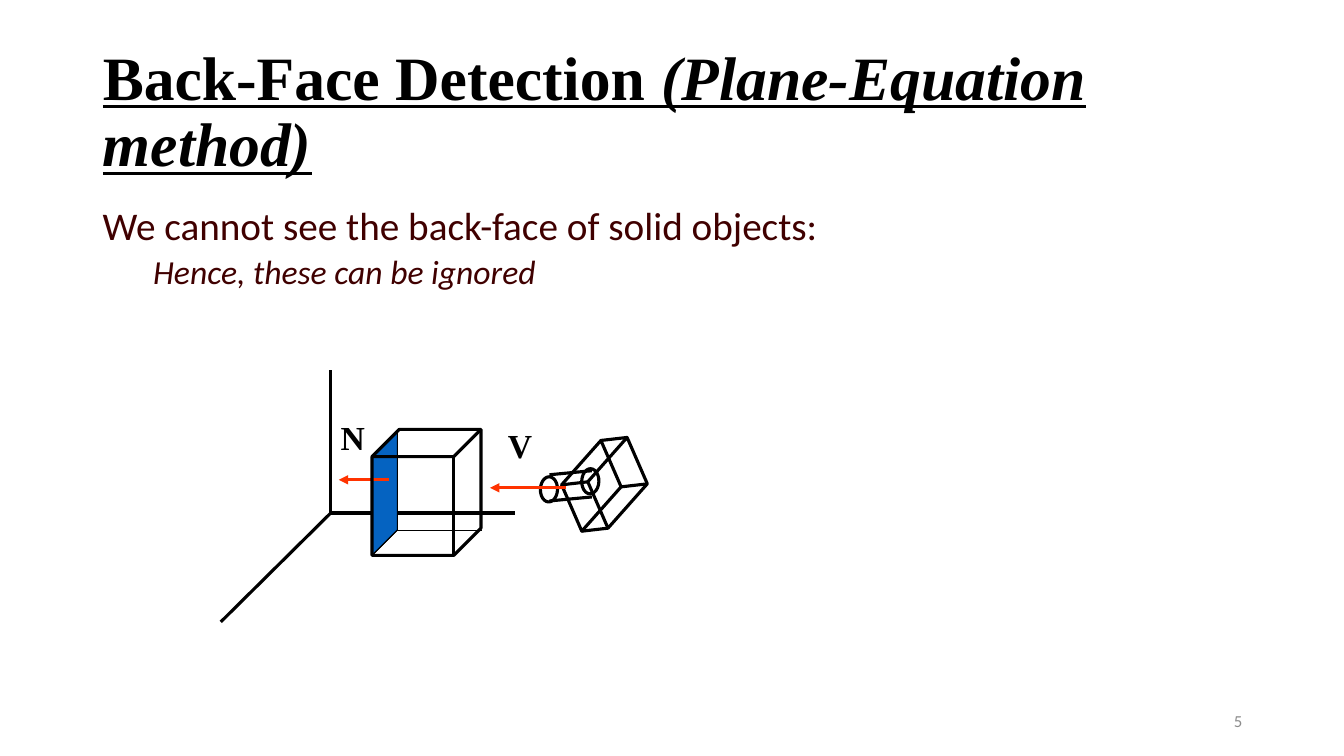
from dataclasses import dataclass

from lxml import etree
from pptx import Presentation
from pptx.dml.color import RGBColor
from pptx.enum import shapes, text
from pptx.oxml import ns
from pptx import util as u

PX = 9144  # EMU in one px, 100 px to the inch

BLACK = RGBColor(0x00, 0x00, 0x00)
BLUE = RGBColor(0x05, 0x63, 0xC1)
RED = RGBColor(0xFF, 0x33, 0x00)
MAROON = RGBColor(0x40, 0x00, 0x00)
GREY = RGBColor(0x8C, 0x8C, 0x8C)
SERIF, SANS = "Times New Roman", "Calibri"
THICK, THIN = 2.25, 0.75

Point = tuple[int, int]


@dataclass(frozen=True)
class Line:
    start: Point
    end: Point
    width: float = THICK
    color: RGBColor = BLACK
    arrow: bool = False


@dataclass(frozen=True)
class Style:
    size: int
    font: str = SERIF
    color: RGBColor = BLACK
    bold: bool = False
    italic: bool = False
    line: bool = False


@dataclass(frozen=True)
class Label:
    word: str
    box: tuple[int, int, int, int]


def scale(*px: int) -> list[u.Emu]:
    return [u.Emu(n * PX) for n in px]


def draw_line(slide, line: Line) -> None:
    shape = slide.shapes.add_connector(
        shapes.MSO_CONNECTOR.STRAIGHT, *scale(*line.start, *line.end))
    shape.line.color.rgb = line.color
    shape.line.width = u.Pt(line.width)
    if line.arrow:
        etree.SubElement(shape.line._get_or_add_ln(), ns.qn("a:tailEnd"), type="triangle")
    etree.SubElement(shape._element.spPr, ns.qn("a:effectLst"))


def outline(shape, width: float = THICK, fill: RGBColor | None = None) -> None:
    shape.shadow.inherit = False
    shape.line.color.rgb = BLACK
    shape.line.width = u.Pt(width)
    if fill is None:
        shape.fill.background()
    else:
        shape.fill.solid()
        shape.fill.fore_color.rgb = fill


def draw_face(slide, points: list[Point], width: float = THICK,
              fill: RGBColor | None = None) -> None:
    path = slide.shapes.build_freeform(*points[0], scale=PX)
    path.add_line_segments(points[1:], close=True)
    outline(path.convert_to_shape(), width, fill)


def draw_shape(slide, kind, box: tuple[int, int, int, int], turn: float = 0):
    shape = slide.shapes.add_shape(kind, *scale(*box))
    shape.rotation = turn
    outline(shape)
    return shape


def add_run(para, words: str, style: Style) -> None:
    run = para.add_run()
    run.text = words
    font = run.font
    font.name, font.size, font.color.rgb = style.font, u.Pt(style.size), style.color
    font.bold, font.italic, font.underline = style.bold, style.italic, style.line


def add_box(slide, box: tuple[int, int, int, int], wrap: bool = True):
    frame = slide.shapes.add_textbox(*scale(*box)).text_frame
    frame.word_wrap = wrap
    return frame


def add_title(slide) -> None:
    title = slide.shapes.title
    title.left, title.top, title.width, title.height = scale(92, 40, 1150, 145)
    frame = title.text_frame
    frame.word_wrap = True
    frame.auto_size = text.MSO_AUTO_SIZE.NONE
    frame.vertical_anchor = text.MSO_ANCHOR.MIDDLE
    para = frame.paragraphs[0]
    para.alignment = text.PP_ALIGN.LEFT
    para.line_spacing = 0.9
    add_run(para, "Back-Face Detection ", Style(44, bold=True, line=True))
    add_run(para, "(Plane-Equation method)", Style(44, bold=True, italic=True, line=True))


def add_body(slide) -> None:
    frame = add_box(slide, (92, 200, 1150, 476))
    first, second = frame.paragraphs[0], frame.add_paragraph()
    second.level = 1
    second.space_before = u.Pt(5)
    for para, left in ((first, 25), (second, 75)):
        para.line_spacing = 0.9
        props = para._p.get_or_add_pPr()
        props.set("marL", str(left * PX))
        props.set("indent", str(-25 * PX))
        etree.SubElement(props, ns.qn("a:buNone"))
    add_run(first, "We cannot see the back-face of solid objects:", Style(28, SANS, MAROON))
    add_run(second, "Hence, these can be ignored", Style(24, SANS, MAROON, italic=True))


def add_number(slide) -> None:
    frame = add_box(slide, (942, 695, 300, 40))
    frame.vertical_anchor = text.MSO_ANCHOR.MIDDLE
    para = frame.paragraphs[0]
    para.alignment = text.PP_ALIGN.RIGHT
    add_run(para, "5", Style(12, SANS, GREY))


def draw_scene(slide) -> None:
    # Axes
    origin = (328, 509)
    for end in ((511, 509), (328, 367), (219, 617)):
        draw_line(slide, Line(origin, end))

    # Back face, its normal and the cube
    low, inner = (369, 551), (394, 526)
    draw_face(slide, [low, (369, 453), (394, 428), inner], THIN, BLUE)
    draw_line(slide, Line((386, 476), (336, 476), color=RED, arrow=True))
    cube = draw_shape(slide, shapes.MSO_SHAPE.CUBE, (369, 426, 108, 125))
    cube.adjustments[0] = 0.25
    for end in ((394, 426), low, (478, 526)):
        draw_line(slide, Line(inner, end, THIN))

    # Camera body
    front = [(557, 481), (577, 527), (616, 483), (596, 437)]
    back = [(x + 26, y - 3) for x, y in front]
    draw_face(slide, front)
    draw_face(slide, back)
    for start, end in zip(front, back):
        draw_line(slide, Line(start, end))

    # Camera lens
    for x, y in ((577, 465), (536, 473)):
        draw_shape(slide, shapes.MSO_SHAPE.OVAL, (x, y, 17, 25), 1.8)
    for y in (471, 497):
        draw_line(slide, Line((545, y), (587, y - 4)))

    # View vector and labels
    draw_line(slide, Line((561, 484), (486, 484), color=RED, arrow=True))
    for label in (Label("V", (494, 417, 44, 50)), Label("N", (328, 409, 44, 50))):
        frame = add_box(slide, label.box, wrap=False)
        add_run(frame.paragraphs[0], label.word, Style(24, bold=True))


def main() -> None:
    deck = Presentation()
    deck.slide_width, deck.slide_height = scale(1333, 750)
    slide = deck.slides.add_slide(deck.slide_layouts[5])
    add_title(slide)
    add_body(slide)
    add_number(slide)
    draw_scene(slide)
    deck.save("out.pptx")


if __name__ == "__main__":
    main()
